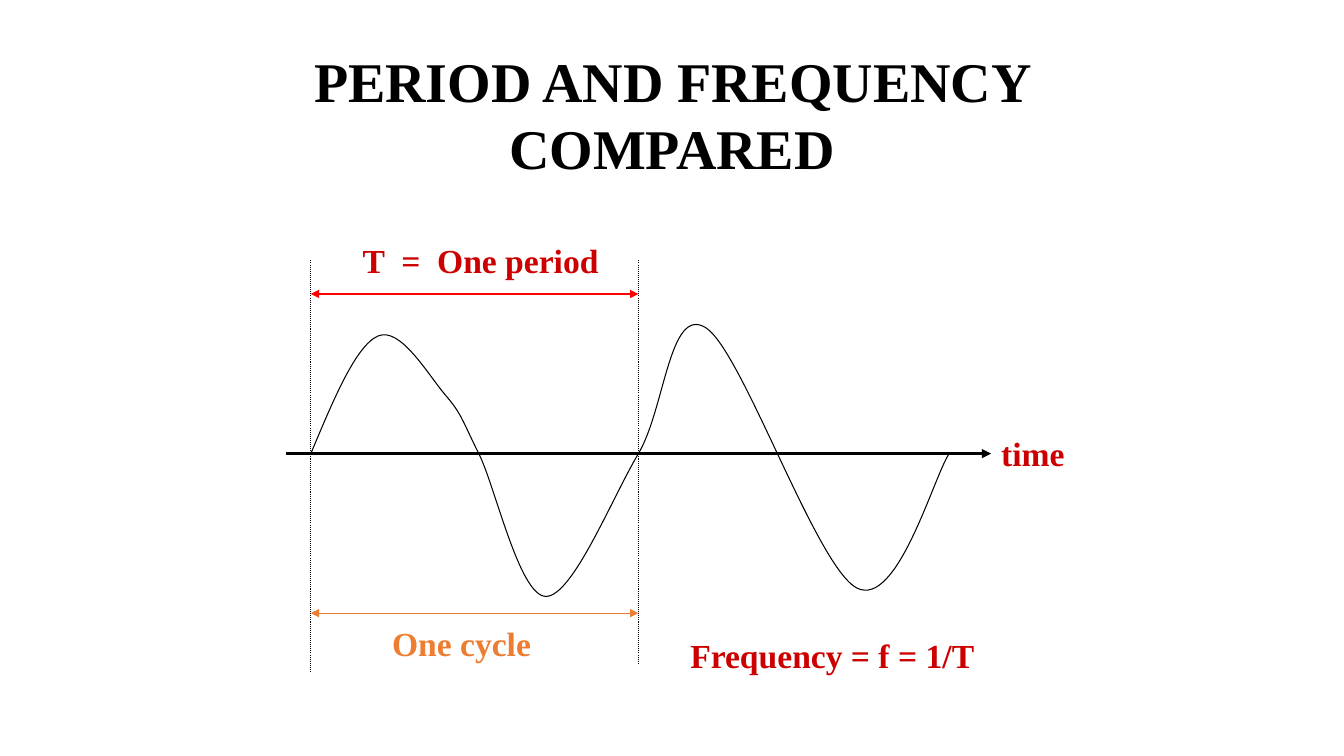
from lxml import etree
from pptx import Presentation
from pptx.dml.color import RGBColor
from pptx.enum import dml, shapes, text
from pptx.oxml import ns
from pptx.util import Pt

BLACK, RED, DARK_RED, ORANGE = "000000", "FF0000", "CC0000", "ED7D31"
AXIS_Y = 324
PERIOD_START, PERIOD_END = 222, 456
WAVE = [
    (238, 286), (254, 247), (270, 240),
    (286, 233), (306, 268), (318, 282),
    (330, 296), (330, 300), (342, AXIS_Y),
    (354, 348), (371, 426), (390, 426),
    (409, 426), (437, 356), (PERIOD_END, AXIS_Y),
    (475, 292), (478, 218), (504, 234),
    (530, 250), (583, 405), (612, 420),
    (641, 435), (667, 340), (678, AXIS_Y),
]


def colour(value):
    return RGBColor.from_string(value)


def add_line(parent, start, end, stroke, width=0.75, ends=(), dash=None):
    line = parent.shapes.add_connector(
        shapes.MSO_CONNECTOR.STRAIGHT, *(Pt(value) for value in start + end))
    line.line.color.rgb = colour(stroke)
    line.line.width = Pt(width)
    if dash:
        line.line.dash_style = dash
    properties = line._element.spPr
    for name in ends:
        etree.SubElement(properties.find(ns.qn("a:ln")), ns.qn(name), type="triangle")
    etree.SubElement(properties, ns.qn("a:effectLst"))


def add_span_arrow(parent, y, stroke):
    add_line(parent, (PERIOD_START, y), (PERIOD_END, y), stroke,
             ends=("a:headEnd", "a:tailEnd"))


def add_text(parent, words, left, top, width, height, size, fill):
    box = parent.shapes.add_textbox(Pt(left), Pt(top), Pt(width), Pt(height))
    para = box.text_frame.paragraphs[0]
    para.text = words
    para.font.name = "Times New Roman"
    para.font.size = Pt(size)
    para.font.bold = True
    para.font.color.rgb = colour(fill)
    return box.text_frame


def add_title(parent, words):
    frame = add_text(parent, words, 174, 30, 612, 102, 40, BLACK)
    frame.word_wrap = True
    frame.vertical_anchor = text.MSO_ANCHOR.MIDDLE
    frame.paragraphs[0].alignment = text.PP_ALIGN.CENTER


def add_label(parent, words, left, top, width, fill=DARK_RED):
    frame = add_text(parent, words, left, top, width, 36, 24, fill)
    frame.word_wrap = False
    frame.auto_size = text.MSO_AUTO_SIZE.SHAPE_TO_FIT_TEXT


def add_wave(parent):
    builder = parent.shapes.build_freeform(Pt(PERIOD_START), Pt(AXIS_Y))
    builder.add_line_segments([(Pt(x), Pt(y)) for x, y in WAVE], close=False)
    wave = builder.convert_to_shape()
    wave.shadow.inherit = False
    wave.fill.background()
    wave.line.color.rgb = colour(BLACK)
    wave.line.width = Pt(0.75)
    segments = list(wave._element.iter(ns.qn("a:lnTo")))
    for first in range(0, len(segments), 3):
        curve = etree.Element(ns.qn("a:cubicBezTo"))
        segments[first].addprevious(curve)
        for segment in segments[first:first + 3]:
            curve.append(segment[0])
            segment.getparent().remove(segment)


def main():
    deck = Presentation()
    deck.slide_width, deck.slide_height = Pt(960), Pt(540)
    page = deck.slides.add_slide(deck.slide_layouts[6])

    add_line(page, (204, AXIS_Y), (708, AXIS_Y), BLACK, 2.25, ends=("a:tailEnd",))
    add_wave(page)

    limits = page.shapes.add_group_shape()
    for x, bottom in ((PERIOD_START, 480), (PERIOD_END, 474)):
        add_line(limits, (x, 186), (x, bottom), BLACK, dash=dml.MSO_LINE.ROUND_DOT)

    cycle = page.shapes.add_group_shape()
    add_span_arrow(cycle, 438, ORANGE)
    add_label(cycle, "One cycle", 273, 441.5, 114, ORANGE)

    add_label(page, "time", 708, 306, 60)
    add_title(page, "PERIOD AND FREQUENCY COMPARED")
    add_label(page, "Frequency = f = 1/T", 486, 450, 217.5)

    period = page.shapes.add_group_shape()
    add_label(period, "T  =  One period", 252, 168, 184)
    add_span_arrow(period, 210, RED)
    deck.save("out.pptx")


if __name__ == "__main__":
    main()
